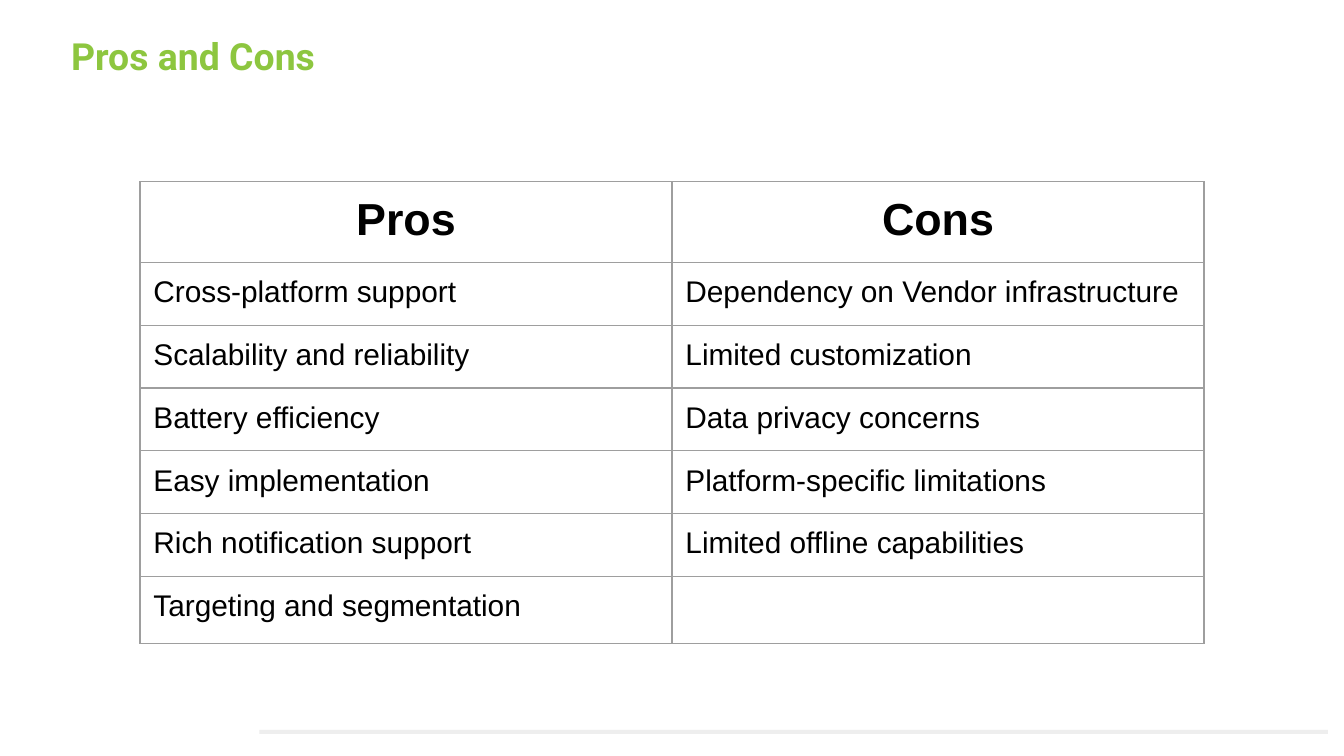
from pptx import Presentation
from pptx.dml.color import RGBColor
from pptx.enum.shapes import MSO_SHAPE as Preset
from pptx.enum.text import PP_ALIGN as Align
from pptx.oxml import parse_xml
from pptx.oxml.ns import nsdecls
from pptx.util import Pt

GREEN = RGBColor(0x8D, 0xC6, 0x3F)
BLACK = RGBColor(0, 0, 0)
BORDER_GRAY = RGBColor(0x9E, 0x9E, 0x9E)
BAR_GRAY = RGBColor(0xEE, 0xEE, 0xEE)

HEADINGS = ("Pros", "Cons")
ROWS = [
    ("Cross-platform support", "Dependency on Vendor infrastructure"),
    ("Scalability and reliability", "Limited customization"),
    ("Battery efficiency", "Data privacy concerns"),
    ("Easy implementation", "Platform-specific limitations"),
    ("Rich notification support", "Limited offline capabilities"),
    ("Targeting and segmentation", ""),
]


class SlideBuilder:
    title_font = "Roboto"
    body_font = "Arial"
    inset = Pt(7.2)
    border_width = Pt(0.75)

    def __init__(self, slide):
        self.slide = slide

    def set_margins(self, holder):
        holder.margin_left = holder.margin_right = self.inset
        holder.margin_top = holder.margin_bottom = self.inset

    def set_text(self, paragraph, text, name, size, color, bold=False):
        paragraph.text = text
        font = paragraph.font
        font.name, font.size, font.bold = name, Pt(size), bold
        font.color.rgb = color

    def title(self, text, left, top, width, height):
        box = self.slide.shapes.add_textbox(Pt(left), Pt(top), Pt(width), Pt(height))
        frame = box.text_frame
        frame.word_wrap = True
        self.set_margins(frame)
        self.set_text(frame.paragraphs[0], text, self.title_font, 20, GREEN, bold=True)

    def bar(self, left, top, width, height):
        bar = self.slide.shapes.add_shape(
            Preset.RECTANGLE, Pt(left), Pt(top), Pt(width), Pt(height))
        bar.shadow.inherit = False
        bar.fill.solid()
        bar.fill.fore_color.rgb = BAR_GRAY
        bar.line.fill.background()

    def cell(self, cell, text, heading):
        self.set_margins(cell)
        paragraph = cell.text_frame.paragraphs[0]
        size = 24 if heading else 16 if text else 18
        self.set_text(paragraph, text, self.body_font, size, BLACK, bold=heading)
        if heading:
            paragraph.alignment = Align.CENTER
        properties = cell._tc.get_or_add_tcPr()
        for side in "LRTB":
            properties.append(parse_xml(
                f'<a:ln{side} {nsdecls("a")} w="{self.border_width}"><a:solidFill>'
                f'<a:srgbClr val="{BORDER_GRAY}"/></a:solidFill></a:ln{side}>'))
        cell.fill.background()

    def table(self, rows, left, top, width, heights):
        frame = self.slide.shapes.add_table(
            len(rows), len(rows[0]), Pt(left), Pt(top), Pt(width), Pt(sum(heights)))
        table = frame.table
        table.first_row = table.horz_banding = False
        for index, (texts, height) in enumerate(zip(rows, heights)):
            table.rows[index].height = Pt(height)
            for column, text in enumerate(texts):
                self.cell(table.cell(index, column), text, heading=index == 0)


def main():
    presentation = Presentation()
    presentation.slide_width, presentation.slide_height = Pt(720), Pt(405)
    slide = presentation.slides.add_slide(presentation.slide_layouts[6])
    builder = SlideBuilder(slide)

    # Title and footer bar
    builder.title("Pros and Cons", 31, 10.8, 443.5, 38.9)
    builder.bar(139, 391, 572.4, 2.2)

    # Comparison table
    builder.table([HEADINGS, *ROWS], 75, 97.4, 570, [43] + [33.6] * 5 + [36])

    presentation.save("out.pptx")


if __name__ == "__main__":
    main()
